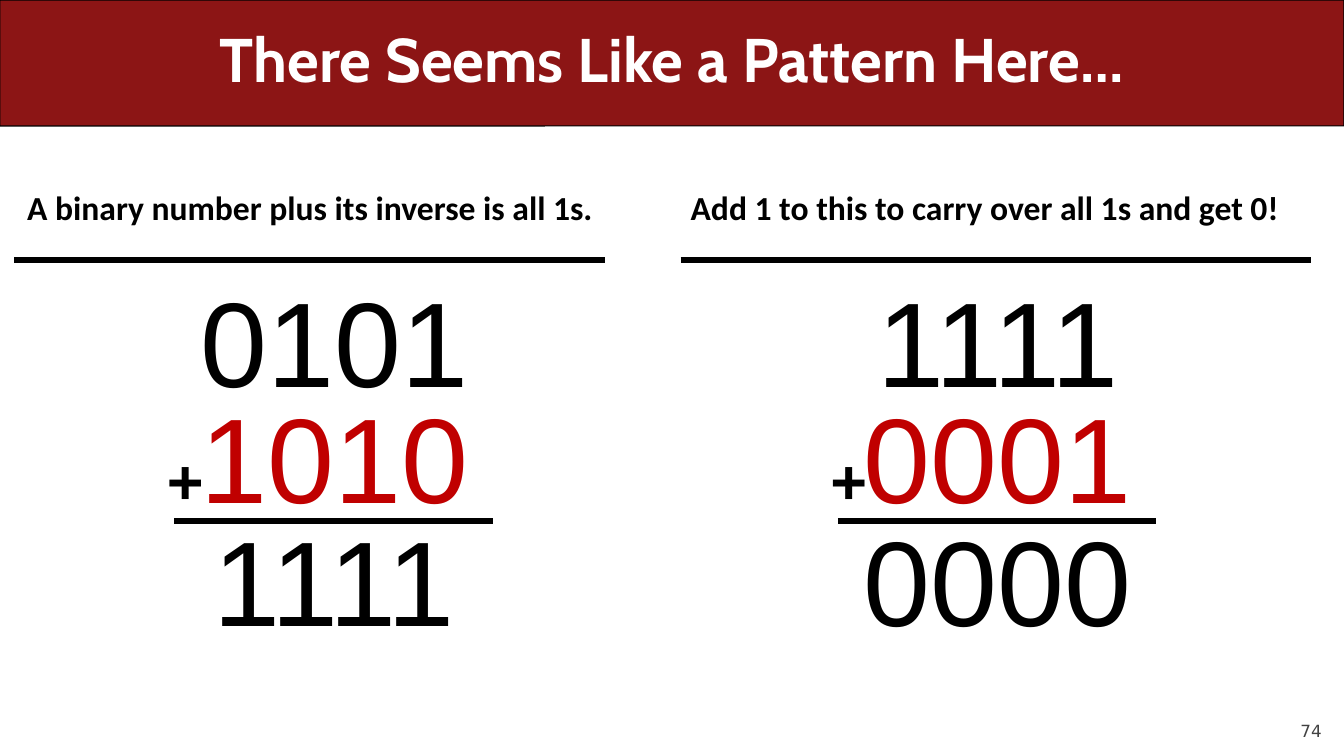
from lxml import etree
from pptx import Presentation
from pptx.dml.color import RGBColor
from pptx.enum import shapes, text
from pptx.oxml import ns
from pptx.util import Inches, Pt

COLORS = {"banner": "8C1515", "ink": "000000", "accent": "C00000",
          "paper": "FFFFFF", "number": "424242"}


def write(frame, words, font, size, color, bold=False, align=text.PP_ALIGN.LEFT, spacing=1.0):
    """Write one formatted run into a text frame."""
    paragraph = frame.paragraphs[0]
    paragraph.alignment = align
    paragraph.line_spacing = spacing
    paragraph.space_before = Pt(0)
    run = paragraph.add_run()
    run.text = words
    run.font.name = font
    run.font.size = Pt(size)
    run.font.bold = bold
    run.font.color.rgb = RGBColor.from_string(COLORS[color])


def place(part, left, top, width, height):
    """Move a placeholder to a box given in inches."""
    part.left, part.top = Inches(left), Inches(top)
    part.width, part.height = Inches(width), Inches(height)
    part.text_frame.auto_size = text.MSO_AUTO_SIZE.NONE
    part.text_frame.vertical_anchor = text.MSO_ANCHOR.MIDDLE


def add_label(slide, words, left, top, width, height, size, color, bold=False,
              align=text.PP_ALIGN.CENTER):
    """Add an unwrapped Arial label."""
    label = slide.shapes.add_textbox(Inches(left), Inches(top), Inches(width), Inches(height))
    label.text_frame.word_wrap = False
    label.text_frame.auto_size = text.MSO_AUTO_SIZE.SHAPE_TO_FIT_TEXT
    write(label.text_frame, words, "Arial", size, color, bold, align)


def add_rule(slide, start, end, y):
    """Draw a thick horizontal rule."""
    rule = slide.shapes.add_connector(
        shapes.MSO_CONNECTOR.STRAIGHT, Inches(start), Inches(y), Inches(end), Inches(y))
    rule.line.color.rgb = RGBColor.from_string(COLORS["ink"])
    rule.line.width = Pt(4.5)
    etree.SubElement(rule.element.spPr, ns.qn("a:effectLst"))


def build_header(slide, words, width, height):
    """Fill the banner and set the title on it."""
    title = slide.shapes.title
    place(title, 0.5, 0, width - 1, height)
    write(title.text_frame, words, "Cabin", 44, "paper", True, text.PP_ALIGN.CENTER, 0.9)
    banner = slide.shapes.add_shape(
        shapes.MSO_SHAPE.ROUNDED_RECTANGLE, 0, 0, Inches(width), Inches(height))
    banner.adjustments[0] = 0.001
    banner.shadow.inherit = False
    banner.fill.solid()
    banner.fill.fore_color.rgb = RGBColor.from_string(COLORS["banner"])
    banner.line.color.rgb = RGBColor.from_string(COLORS["ink"])
    banner.line.width = Pt(0.75)
    title.element.addprevious(banner.element)


def build_sum(slide, center, top, addends, total):
    """Lay out a column addition around a centre line."""
    rows = [(addends[0], 0, "ink"), (addends[1], 1.15, "accent"), (total, 2.37, "ink")]
    for digits, offset, color in rows:
        add_label(slide, digits, center - 1.44, top + offset, 2.89, 1.55, 86, color)
    add_label(slide, "+", center - 1.76, top + 1.73, 0.57, 0.86, 45, "ink", True,
              text.PP_ALIGN.RIGHT)
    add_rule(slide, center - 1.58, center + 1.58, top + 2.57)


def build_column(slide, heading, left, top, width, claim, rule, addends, total):
    """Build one claim with its rule and worked addition."""
    place(heading, left, top, width, 0.9)
    write(heading.text_frame, claim, "Calibri", 24, "ink", True, spacing=0.9)
    add_rule(slide, *rule, top + 0.95)
    build_sum(slide, left + 3.14, top + 0.97, addends, total)


def build_page_number(slide, number, left, top, width, height):
    """Set the page number in the bottom corner."""
    corner = slide.shapes.add_textbox(Inches(left), Inches(top), Inches(width), Inches(height))
    frame = corner.text_frame
    frame.word_wrap = True
    frame.vertical_anchor = text.MSO_ANCHOR.BOTTOM
    frame.margin_left = frame.margin_right = frame.margin_top = frame.margin_bottom = 0
    write(frame, number, "DejaVu Sans", 12, "number", align=text.PP_ALIGN.RIGHT)


def main():
    """Build the slide and save it."""
    deck = Presentation()
    deck.slide_width, deck.slide_height = Inches(13.33), Inches(7.5)
    slide = deck.slides.add_slide(deck.slide_layouts.get_by_name("Comparison"))
    headings = []
    for holder in list(slide.placeholders):
        kind = holder.placeholder_format.type
        if kind == shapes.PP_PLACEHOLDER.BODY:
            headings.append(holder)
        elif kind == shapes.PP_PLACEHOLDER.OBJECT:
            holder.element.getparent().remove(holder.element)

    build_header(slide, "There Seems Like a Pattern Here…", 13.33, 1.25)
    columns = [
        (0.17, "A binary number plus its inverse is all 1s.", (0.14, 6), ("0101", "1010"), "1111"),
        (6.75, "Add 1 to this to carry over all 1s and get 0!", (6.75, 13), ("1111", "0001"), "0000"),
    ]
    for heading, (left, claim, rule, addends, total) in zip(headings, columns):
        build_column(slide, heading, left, 1.63, 6.38, claim, rule, addends, total)
    build_page_number(slide, "74", 12, 6.95, 1.11, 0.4)
    deck.save("out.pptx")


if __name__ == "__main__":
    main()
